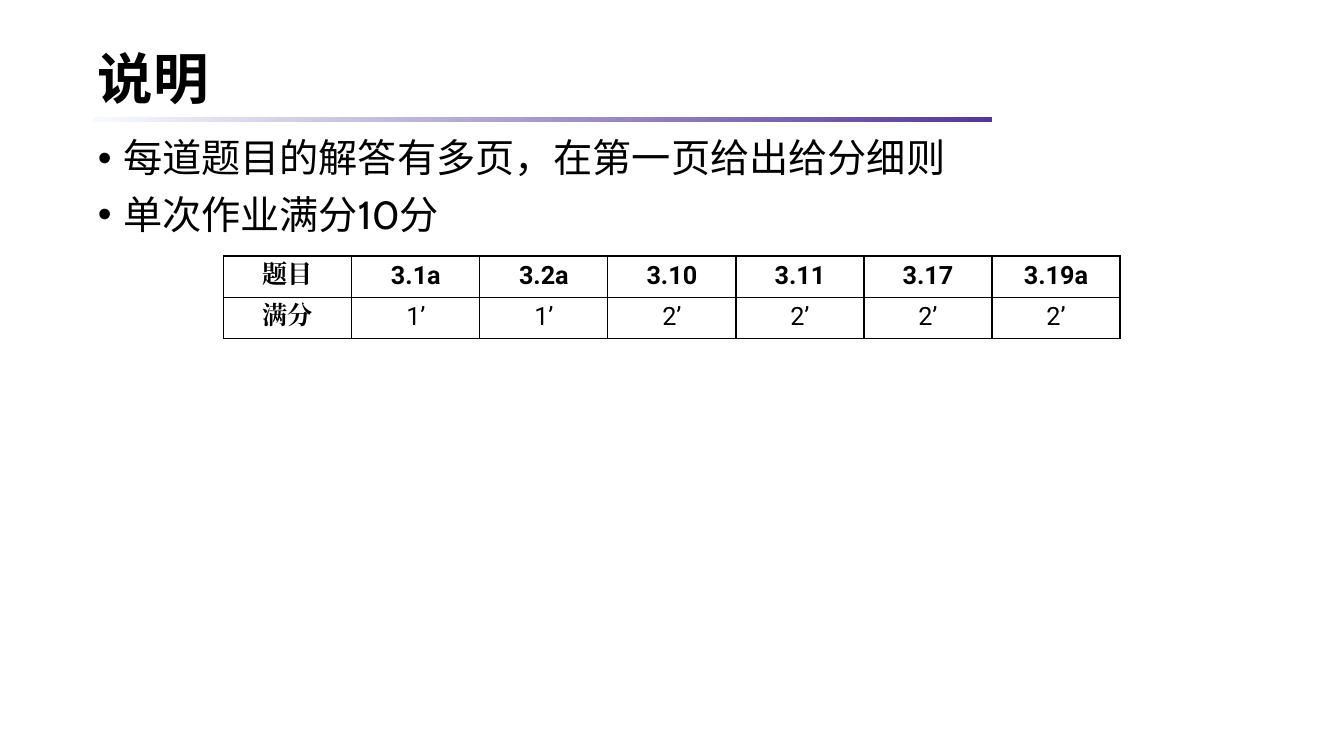
from lxml import etree
from pptx import Presentation
from pptx import util as u
from pptx.dml.color import RGBColor
from pptx.enum import shapes, text
from pptx.oxml.ns import qn

# Content
TITLE = "说明"
BULLETS = ["每道题目的解答有多页，在第一页给出给分细则", "单次作业满分10分"]
SCORES = [
    ["题目", "3.1a", "3.2a", "3.10", "3.11", "3.17", "3.19a"],
    ["满分", "1’", "1’", "2’", "2’", "2’", "2’"],
]

# Layout, in inches
LEFT, WIDTH, INSET = 0.92, 11.5, 0.05
COL_W, ROW_H = 1.27, 0.41
BLACK = "000000"


def color(hex_string):
    return RGBColor.from_string(hex_string)


def write(p, content, size=18, font="Cabin", bold=False, align=text.PP_ALIGN.LEFT,
          spacing=None, before=0):
    p.alignment = align
    p.line_spacing = spacing
    p.space_before = u.Pt(before)
    r = p.add_run()
    r.text = content
    r.font.size, r.font.name, r.font.bold = u.Pt(size), font, bold
    r.font.color.rgb = color(BLACK)
    etree.SubElement(r.font._element, qn("a:ea"), typeface=font)


def place(s, top, height, anchor):
    s.left, s.top, s.width, s.height = map(u.Inches, (LEFT, top, WIDTH, height))
    tf = s.text_frame
    tf.word_wrap, tf.auto_size = True, text.MSO_AUTO_SIZE.NONE
    tf.vertical_anchor = anchor
    tf.margin_left = tf.margin_right = u.Inches(INSET)
    tf.margin_top = tf.margin_bottom = u.Inches(INSET)
    return tf


def add_borders(cell):
    tc_pr = cell._tc.get_or_add_tcPr()
    for i, side in enumerate("LRTB"):
        ln = etree.Element(qn(f"a:ln{side}"), w=str(u.Pt(1)))
        fill = etree.SubElement(ln, qn("a:solidFill"))
        etree.SubElement(fill, qn("a:srgbClr"), val=BLACK)
        tc_pr.insert(i, ln)


prs = Presentation()
prs.slide_width, prs.slide_height = u.Inches(13.33), u.Inches(7.5)
s = prs.slides.add_slide(prs.slide_layouts[1])

# Title
tf = place(s.shapes.title, 0.43, 0.75, text.MSO_ANCHOR.MIDDLE)
write(tf.paragraphs[0], TITLE, size=39.6, bold=True, spacing=0.9)

# Gradient rule under the title
rule = s.shapes.add_shape(shapes.MSO_SHAPE.RECTANGLE, u.Inches(LEFT), u.Inches(1.16),
                          u.Inches(8.92), u.Inches(0.05))
rule.shadow.inherit = False
rule.line.fill.background()
rule.fill.gradient()
rule.fill.gradient_angle = 0
for stop, shade in zip(rule.fill.gradient_stops, ["F7FAFD", "543795"]):
    stop.color.rgb = color(shade)

# Bullet list
tf = place(s.placeholders[1], 1.33, 5.43, text.MSO_ANCHOR.TOP)
for i, line in enumerate(BULLETS):
    p = tf.add_paragraph() if i else tf.paragraphs[0]
    write(p, line, size=28, spacing=0.9, before=10)
    p_pr = p._p.get_or_add_pPr()
    p_pr.set("marL", str(u.Inches(0.25)))
    p_pr.set("indent", str(-u.Inches(0.25)))
    etree.SubElement(p_pr, qn("a:buFont"), typeface="Arial")
    etree.SubElement(p_pr, qn("a:buChar"), char="•")

# Score table
rows, cols = len(SCORES), len(SCORES[0])
table = s.shapes.add_table(rows, cols, u.Inches(2.22), u.Inches(2.54),
                           u.Inches(COL_W * cols), u.Inches(ROW_H * rows)).table
table.first_row = table.horz_banding = False
for row_i, row in enumerate(SCORES):
    for col_i, value in enumerate(row):
        cell = table.cell(row_i, col_i)
        cell.fill.background()
        add_borders(cell)
        write(cell.text_frame.paragraphs[0], value,
              font="Roboto" if col_i else "Times New Roman",
              bold=row_i == 0 or col_i == 0, align=text.PP_ALIGN.CENTER)

prs.save("out.pptx")
